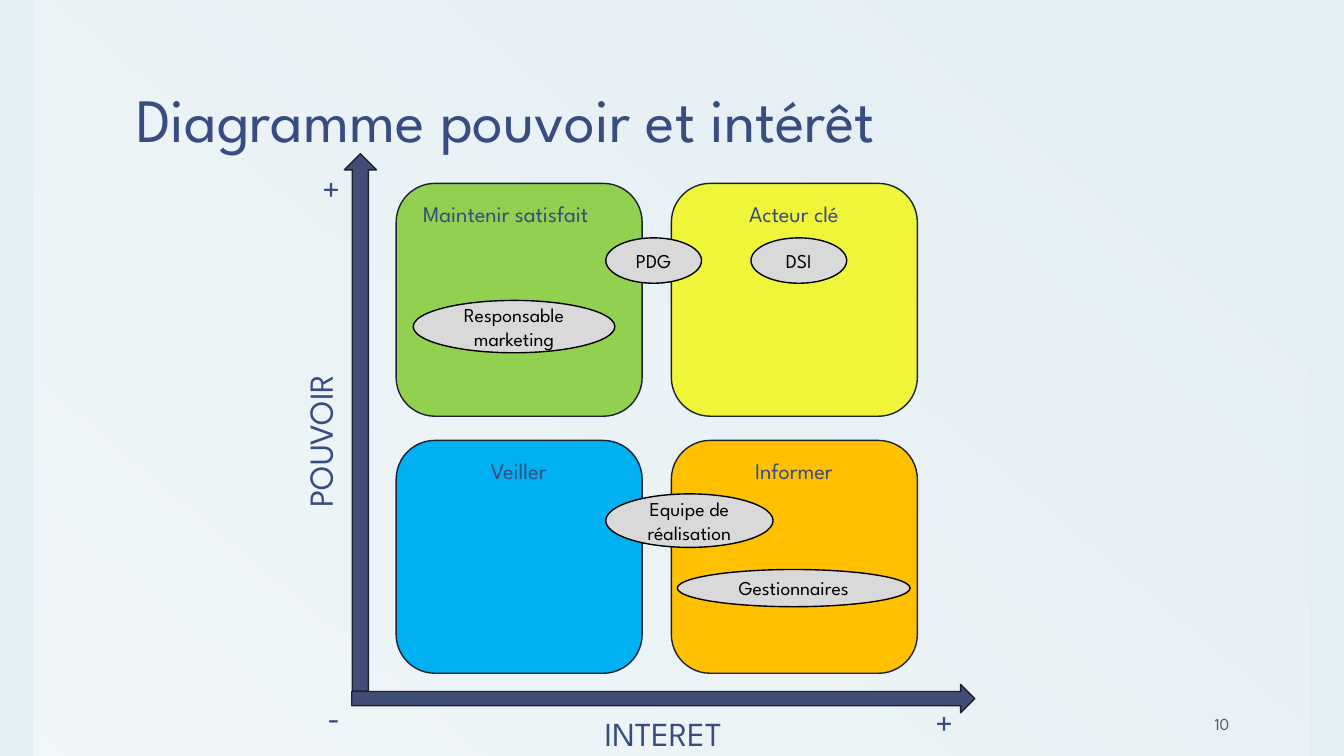
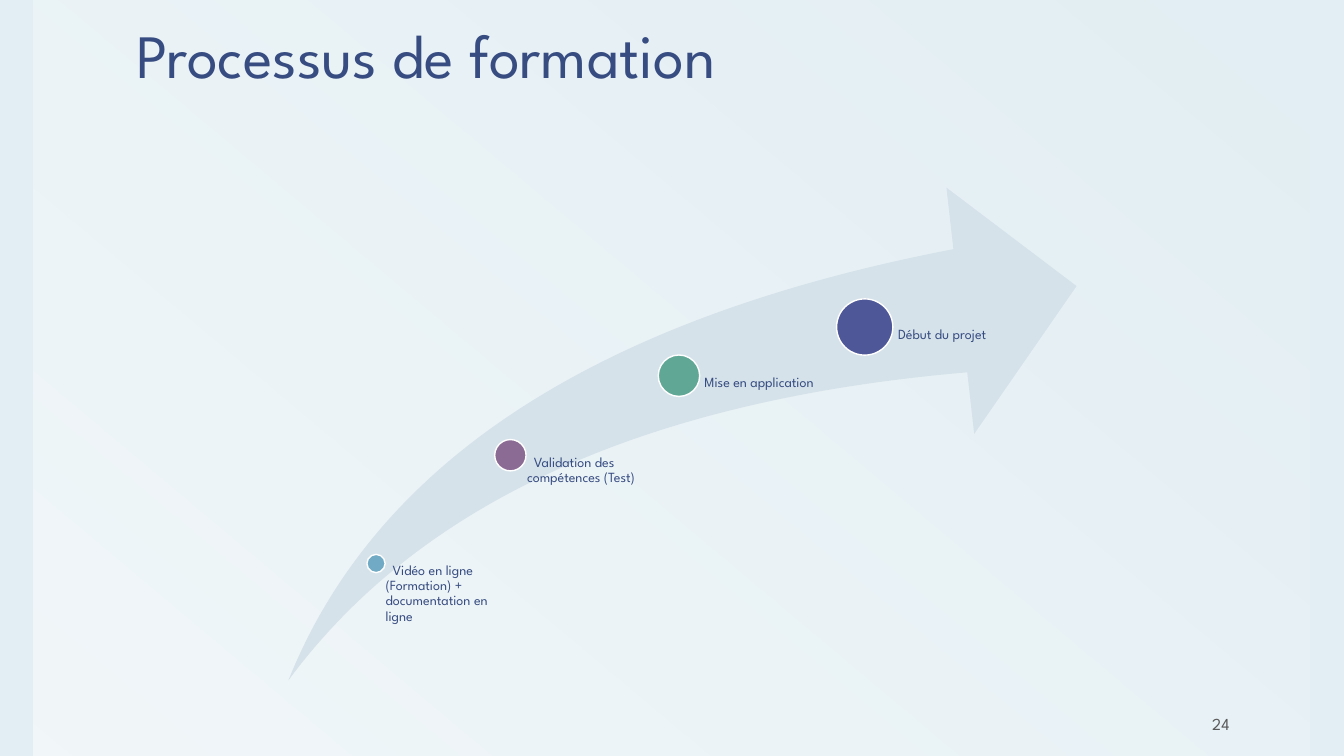
"""Build two slides: a power and interest grid, and a training process."""
import pptx
import pptx.dml.color
import pptx.enum.shapes
import pptx.enum.text
import pptx.oxml
import pptx.oxml.ns
import pptx.util

Pt = pptx.util.Pt
Kind = pptx.enum.shapes.MSO_SHAPE
Align = pptx.enum.text.PP_ALIGN
Anchor = pptx.enum.text.MSO_ANCHOR


class Theme:
    font = "League Spartan"
    back, navy, grey = "E2EEF3", "374C81", "595959"
    edge, axis = "1C2234", "414E77"
    green, yellow, blue, orange = "92D050", "EFF538", "00B0F0", "FFC000"
    oval, black, white = "D9D9D9", "000000", "FFFFFF"
    swoosh, sky, plum, teal, indigo = "D5E2EA", "70AAC4", "8B6A94", "61A796", "4E5798"
    title, mark, label, name, page, step = 44, 24, 16, 14, 12, 10


def draw(slide, kind, place, fill, line=None):
    shape = slide.shapes.add_shape(kind, *map(Pt, place))
    shape.shadow.inherit = False
    shape.fill.solid()
    shape.fill.fore_color.rgb = pptx.dml.color.RGBColor.from_string(fill)
    if line:
        shape.line.color.rgb = pptx.dml.color.RGBColor.from_string(line)
        shape.line.width = Pt(1)
    else:
        shape.line.fill.background()
    return shape


def write(box, text, size, color=Theme.navy, align=Align.LEFT, anchor=Anchor.TOP,
          inset=(7.2, 3.6, 7.2, 3.6), space=1.0):
    frame = box.text_frame
    frame.word_wrap = True
    frame.vertical_anchor = anchor
    frame.margin_left, frame.margin_top, frame.margin_right, frame.margin_bottom = map(Pt, inset)
    line = frame.paragraphs[0]
    line.text = text
    line.alignment = align
    line.line_spacing = space
    line.font.name = Theme.font
    line.font.size = Pt(size)
    line.font.color.rgb = pptx.dml.color.RGBColor.from_string(color)


deck = pptx.Presentation()
deck.slide_width, deck.slide_height = Pt(960), Pt(540)
master = deck.slide_master.background.fill
master.solid()
master.fore_color.rgb = pptx.dml.color.RGBColor.from_string(Theme.back)

slides = []
wide = (9.4, 5, 9.4, 5)
for title, height, number in [("Diagramme pouvoir et intérêt", 110, "10"),
                              ("Processus de formation", 64, "24")]:
    slide = deck.slides.add_slide(deck.slide_layouts[6])
    panel = draw(slide, Kind.RECTANGLE, (23.8, 0, 911.5, 540), Theme.white)
    solid = panel.fill.fore_color and panel.element.spPr.find(pptx.oxml.ns.qn("a:solidFill"))
    panel.element.spPr.replace(solid, pptx.oxml.parse_xml(
        f'<a:gradFill {pptx.oxml.ns.nsdecls("a")}><a:gsLst>'
        f'<a:gs pos="0"><a:srgbClr val="{Theme.white}"><a:alpha val="0"/></a:srgbClr></a:gs>'
        f'<a:gs pos="100000"><a:srgbClr val="{Theme.white}"><a:alpha val="55000"/></a:srgbClr></a:gs>'
        '</a:gsLst><a:lin ang="7800000" scaled="0"/></a:gradFill>'))
    box = slide.shapes.add_textbox(Pt(87.8), Pt(5.8), Pt(800), Pt(height))
    write(box, title, Theme.title, anchor=Anchor.BOTTOM, inset=wide, space=0.85)
    box = slide.shapes.add_textbox(Pt(800.6), Pt(504), Pt(87), Pt(25.2))
    write(box, number, Theme.page, Theme.grey, Align.RIGHT, Anchor.BOTTOM, wide)
    slides.append(slide)
grid, process = slides

zones = [("Maintenir satisfait", Theme.green, Align.LEFT),
         ("Acteur clé", Theme.yellow, Align.CENTER),
         ("Veiller", Theme.blue, Align.CENTER),
         ("Informer", Theme.orange, Align.CENTER)]
for index, (text, fill, align) in enumerate(zones):
    row, col = divmod(index, 2)
    left, top = 283 + 196.6 * col, 131 + 183.6 * row
    draw(grid, Kind.ROUNDED_RECTANGLE, (left, top, 175.7, 166.3), fill, Theme.edge)
    box = grid.shapes.add_textbox(Pt(left + 12.2), Pt(top + 8.7), Pt(150.5), Pt(26.6))
    write(box, text, Theme.label, align=align)

for place, turn in [((251.3, 488.9, 445, 20.2), 0), ((65.5, 290.2, 383.8, 23), 270)]:
    draw(grid, Kind.RIGHT_ARROW, place, Theme.axis, Theme.edge).rotation = turn

for text, left, top, width, turn in [("POUVOIR", 160.6, 283.7, 135.4, 270),
                                     ("INTERET", 424.8, 505.4, 98.6, 0),
                                     ("-", 226.8, 493.2, 23.8, 0),
                                     ("+", 661, 498.2, 30.2, 0),
                                     ("+", 223.2, 116.6, 30.2, 0)]:
    box = grid.shapes.add_textbox(Pt(left), Pt(top), Pt(width), Pt(36))
    box.rotation = turn
    write(box, text, Theme.mark)

for text, *place in [("PDG", 432.7, 169.9, 68.4, 32.4),
                     ("Equipe de réalisation", 432.7, 352.8, 119.5, 38.2),
                     ("DSI", 536.4, 169.9, 68.4, 32.4),
                     ("Gestionnaires", 483.8, 406.8, 166.3, 26.6),
                     ("Responsable marketing", 295.2, 214.6, 144, 37.4)]:
    oval = draw(grid, Kind.OVAL, place, Theme.oval, Theme.black)
    write(oval, text, Theme.name, Theme.black, Align.CENTER, Anchor.MIDDLE)

base = 486
swoosh = draw(process, Kind.SWOOSH_ARROW, (206, 134, 563, base - 134), Theme.swoosh)
swoosh.adjustments[0] = swoosh.adjustments[1] = 0.25
for text, x, y, size, width, fill in [
        ("  Vidéo en ligne (Formation) + documentation en ligne", 268.6, 402.5, 13, 96.5, Theme.sky),
        ("  Validation des compétences (Test)", 364.6, 325.2, 22.4, 118, Theme.plum),
        (" Mise en application", 485, 268.4, 29.6, 118, Theme.teal),
        (" Début du projet", 617.7, 233.6, 40.2, 118, Theme.indigo)]:
    draw(process, Kind.OVAL, (x - size / 2, y - size / 2, size, size), fill, Theme.white)
    box = process.shapes.add_textbox(Pt(x), Pt(y), Pt(width), Pt(base - y))
    write(box, text, Theme.step, inset=(0.53 * size, 0, 0, 0), space=0.9)

deck.save("out.pptx")
